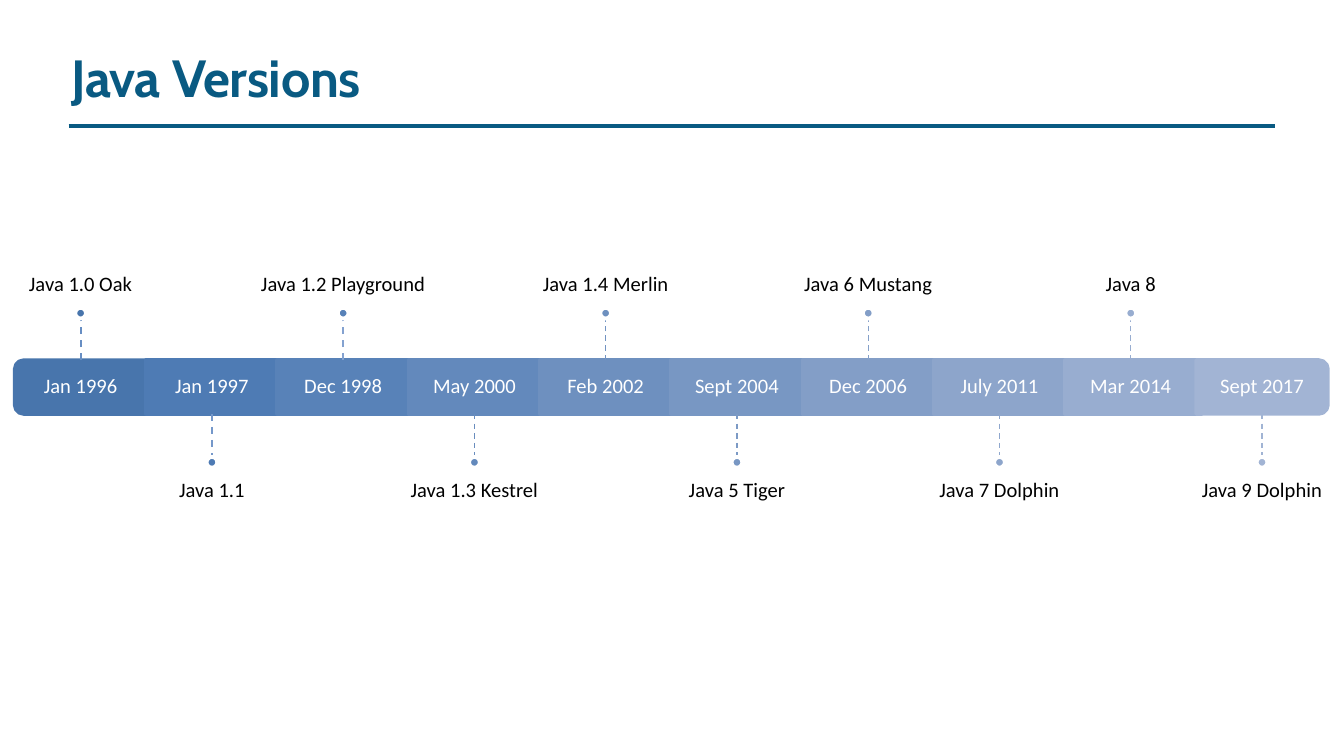
"""Build a slide with a timeline of Java versions."""
from typing import NamedTuple

from lxml import etree
from pptx import Presentation
from pptx.dml.color import RGBColor
from pptx.enum.dml import MSO_LINE
from pptx.enum.shapes import MSO_CONNECTOR, MSO_SHAPE
from pptx.enum.text import MSO_ANCHOR, MSO_AUTO_SIZE, PP_ALIGN
from pptx.oxml.ns import qn
from pptx.util import Inches, Pt

DASH = MSO_LINE.DASH
STRAIGHT = MSO_CONNECTOR.STRAIGHT
RECTANGLE = MSO_SHAPE.RECTANGLE
ROUNDED_END = MSO_SHAPE.ROUND_2_SAME_RECTANGLE
OVAL = MSO_SHAPE.OVAL
TOP, MIDDLE, BOTTOM = MSO_ANCHOR.TOP, MSO_ANCHOR.MIDDLE, MSO_ANCHOR.BOTTOM
LEFT, CENTER = PP_ALIGN.LEFT, PP_ALIGN.CENTER
GROW = MSO_AUTO_SIZE.SHAPE_TO_FIT_TEXT

TEAL = RGBColor(0x09, 0x5A, 0x82)
WHITE = RGBColor(0xFF, 0xFF, 0xFF)
BLACK = RGBColor(0x00, 0x00, 0x00)

SLIDE_WIDTH = Inches(10)
SLIDE_HEIGHT = SLIDE_WIDTH * 9 // 16
FIRST_LEFT, LAST_LEFT = 0.11, 8.9
BAR_TOP, BAR_WIDTH, BAR_HEIGHT = 2.68, 0.98, 0.4
BAR_BOTTOM = BAR_TOP + BAR_HEIGHT
DOT_SIZE = 0.08
UPPER_DOT_TOP, LOWER_DOT_TOP = 2.29, 3.4
LABEL_WIDTH, LABEL_HEIGHT = 1.63, 1.39
INSET = 0.09


class Release(NamedTuple):
    date: str
    name: str
    fill: RGBColor
    stem: RGBColor
    stem_width: float = 0.75


RELEASES = [
    Release("Jan 1996", "Java 1.0 Oak", RGBColor(0x48, 0x75, 0xAC), RGBColor(0x67, 0x8E, 0xC3), 1),
    Release("Jan 1997", "Java 1.1", RGBColor(0x4E, 0x7B, 0xB4), RGBColor(0x75, 0x98, 0xCA), 1),
    Release("Dec 1998", "Java 1.2 Playground", RGBColor(0x58, 0x82, 0xB8), RGBColor(0x84, 0xA2, 0xD0), 1),
    Release("May 2000", "Java 1.3 Kestrel", RGBColor(0x63, 0x89, 0xBC), RGBColor(0x69, 0x8D, 0xBE)),
    Release("Feb 2002", "Java 1.4 Merlin", RGBColor(0x6E, 0x90, 0xBF), RGBColor(0x72, 0x93, 0xC2)),
    Release("Sept 2004", "Java 5 Tiger", RGBColor(0x78, 0x97, 0xC3), RGBColor(0x7C, 0x9A, 0xC5)),
    Release("Dec 2006", "Java 6 Mustang", RGBColor(0x83, 0x9E, 0xC7), RGBColor(0x85, 0xA0, 0xC9)),
    Release("July 2011", "Java 7 Dolphin", RGBColor(0x8D, 0xA5, 0xCB), RGBColor(0x8F, 0xA7, 0xCD)),
    Release("Mar 2014", "Java 8", RGBColor(0x98, 0xAD, 0xD0), RGBColor(0x98, 0xAD, 0xD0)),
    Release("Sept 2017", "Java 9 Dolphin", RGBColor(0xA2, 0xB4, 0xD4), RGBColor(0xA1, 0xB4, 0xD4)),
]


def set_insets(frame, left: float, top: float, right: float, bottom: float) -> None:
    frame.margin_left, frame.margin_top = Inches(left), Inches(top)
    frame.margin_right, frame.margin_bottom = Inches(right), Inches(bottom)


def add_shape(page, kind, left: float, top: float, width: float, height: float,
              fill: RGBColor, outline: RGBColor):
    shape = page.shapes.add_shape(kind, Inches(left), Inches(top), Inches(width), Inches(height))
    shape.shadow.inherit = False
    shape.fill.solid()
    shape.fill.fore_color.rgb = fill
    shape.line.color.rgb = outline
    shape.line.width = Pt(2)
    return shape


def add_line(page, start: tuple[float, float], end: tuple[float, float],
             color: RGBColor, width: float):
    line = page.shapes.add_connector(STRAIGHT, *map(Inches, start + end))
    etree.SubElement(line._element.spPr, qn("a:effectLst"))
    line.line.color.rgb = color
    line.line.width = Pt(width)
    return line


def add_text(page, text: str, left: float, top: float, width: float, height: float,
             color: RGBColor, anchor, insets: tuple[float, float, float, float]) -> None:
    box = page.shapes.add_textbox(Inches(left), Inches(top), Inches(width), Inches(height))
    frame = box.text_frame
    frame.word_wrap = True
    frame.vertical_anchor = anchor
    set_insets(frame, *insets)
    frame.text = text
    para = frame.paragraphs[0]
    para.alignment = CENTER
    para.line_spacing = 0.9
    font = para.runs[0].font
    font.name, font.size = "Calibri", Pt(11)
    font.color.rgb = color


def add_segment(page, left: float, release: Release, rotation: int):
    if rotation:
        middle = left + BAR_WIDTH / 2
        segment = add_shape(page, ROUNDED_END, middle - BAR_HEIGHT / 2,
                            BAR_TOP + (BAR_HEIGHT - BAR_WIDTH) / 2,
                            BAR_HEIGHT, BAR_WIDTH, release.fill, release.fill)
        segment.rotation = rotation
    else:
        segment = add_shape(page, RECTANGLE, left, BAR_TOP, BAR_WIDTH, BAR_HEIGHT,
                            release.fill, release.fill)
    add_text(page, release.date, left, BAR_TOP, BAR_WIDTH, BAR_HEIGHT, WHITE, MIDDLE, (INSET,) * 4)
    return segment


def add_release(page, left: float, release: Release, above: bool, rotation: int) -> None:
    segment = add_segment(page, left, release, rotation)
    middle = left + BAR_WIDTH / 2
    label_left = middle - LABEL_WIDTH / 2
    if above:
        dot_top, bar_edge, stem_end, site = UPPER_DOT_TOP, BAR_TOP, UPPER_DOT_TOP + DOT_SIZE, 0
        label_top, anchor, insets = UPPER_DOT_TOP - LABEL_HEIGHT, BOTTOM, (0, 0, 0, INSET)
    else:
        dot_top, bar_edge, stem_end, site = LOWER_DOT_TOP, BAR_BOTTOM, LOWER_DOT_TOP, 2
        label_top, anchor, insets = LOWER_DOT_TOP + DOT_SIZE, TOP, (0, INSET, 0, 0)
    add_text(page, release.name, label_left, label_top, LABEL_WIDTH, LABEL_HEIGHT,
             BLACK, anchor, insets)
    stem = add_line(page, (middle, bar_edge), (middle, stem_end), release.stem, release.stem_width)
    stem.line.dash_style = DASH
    if not rotation:
        stem.begin_connect(segment, site)
    add_shape(page, OVAL, middle - DOT_SIZE / 2, dot_top, DOT_SIZE, DOT_SIZE, release.fill, WHITE)


def add_title(page, text: str) -> None:
    title = page.shapes.title
    title.left, title.top = Inches(0.51), Inches(0.33)
    title.width, title.height = Inches(2.18), Inches(0.49)
    frame = title.text_frame
    frame.word_wrap = True
    frame.auto_size = GROW
    frame.vertical_anchor = TOP
    set_insets(frame, 0.02, 0.01, 0, 0)
    frame.text = text
    para = frame.paragraphs[0]
    para.alignment = LEFT
    span = para.runs[0]
    span.font.name, span.font.size, span.font.bold = "Cabin", Pt(28), True
    span.font.color.rgb = TEAL
    span._r.get_or_add_rPr().set("spc", "-20")


def main() -> None:
    deck = Presentation()
    deck.slide_width, deck.slide_height = SLIDE_WIDTH, SLIDE_HEIGHT
    page = deck.slides.add_slide(deck.slide_layouts[5])
    last = len(RELEASES) - 1
    step = (LAST_LEFT - FIRST_LEFT) / last
    end_rotations = {0: 270, last: 90}
    for index, release in enumerate(RELEASES):
        add_release(page, FIRST_LEFT + index * step, release, index % 2 == 0,
                    end_rotations.get(index, 0))
    add_line(page, (0.51, 0.94), (9.49, 0.94), TEAL, 2.28)
    add_title(page, "Java Versions")
    deck.save("out.pptx")


if __name__ == "__main__":
    main()
